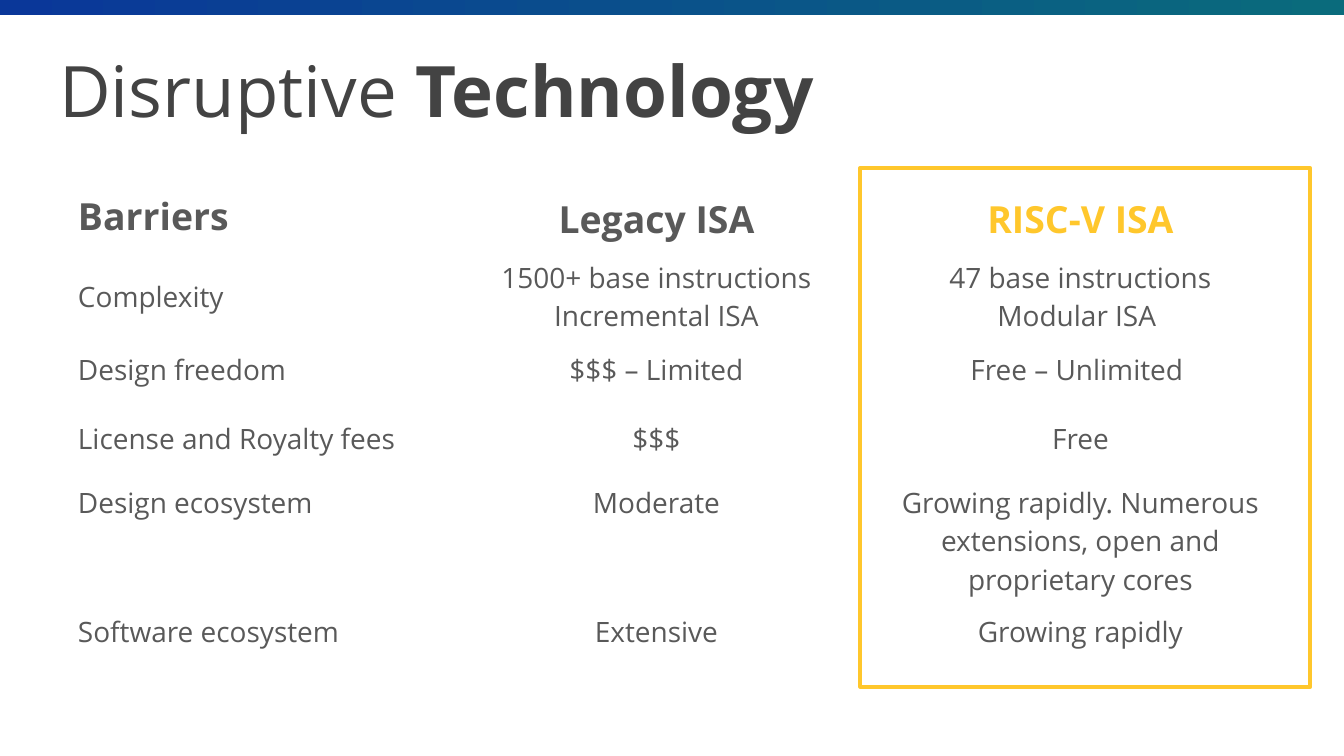
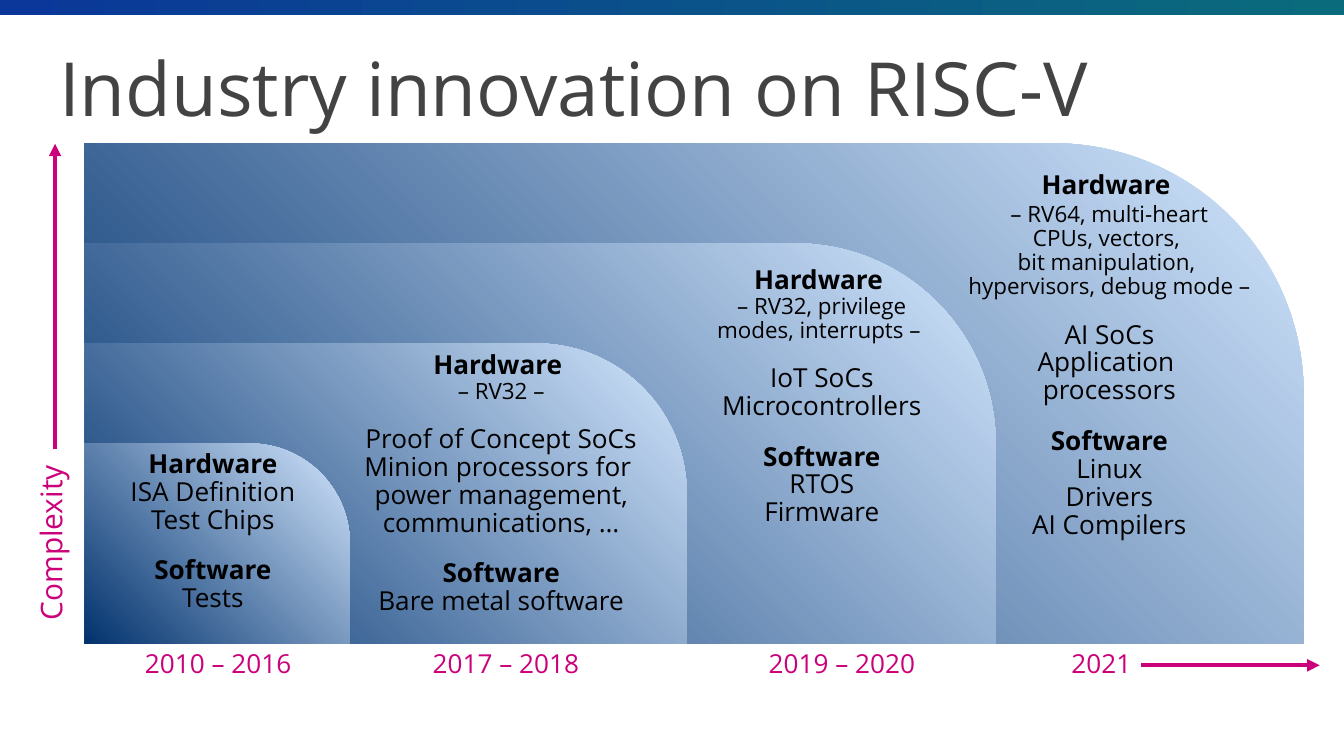
"""Builds two slides on RISC-V: a barriers table and a timeline of growing complexity."""
from dataclasses import dataclass

from lxml import etree
from pptx import Presentation
from pptx.dml.color import RGBColor
from pptx.enum.shapes import MSO_CONNECTOR, MSO_SHAPE
from pptx.enum.text import MSO_ANCHOR, MSO_AUTO_SIZE, PP_ALIGN
from pptx.oxml.ns import qn
from pptx.util import Pt

LEFT, CENTER = PP_ALIGN.LEFT, PP_ALIGN.CENTER
TOP, MIDDLE = MSO_ANCHOR.TOP, MSO_ANCHOR.MIDDLE
RECT, ROUND_ONE = MSO_SHAPE.RECTANGLE, MSO_SHAPE.ROUND_1_RECTANGLE
STRAIGHT = MSO_CONNECTOR.STRAIGHT
FIT_SHAPE, NO_FIT = MSO_AUTO_SIZE.SHAPE_TO_FIT_TEXT, MSO_AUTO_SIZE.NONE


@dataclass(frozen=True)
class Theme:
    font: str = "Open Sans"
    title: str = "434343"
    body: str = "595959"
    text: str = "000000"
    gold: str = "FFC72C"
    magenta: str = "CB007B"
    band: tuple = ("0A3799", "0A6B7C")
    panel: tuple = ("D3E7FE", "02326D")
    header_size: int = 20
    cell_size: int = 15
    item_size: int = 14
    note_size: int = 12
    axis_size: int = 16
    line_spacing: float = 0.89
    gap: int = 12


THEME = Theme()
WIDTH, HEIGHT = 720, 405

BARRIERS_TITLE = [("Disruptive ", False), ("Technology", True)]
BARRIERS = [
    ("Barriers", "Legacy ISA", "RISC-V ISA"),
    ("Complexity", "1500+ base instructions\nIncremental ISA", "47 base instructions\nModular ISA "),
    ("Design freedom", "$$$ – Limited", "Free – Unlimited "),
    ("License and Royalty fees", "$$$", "Free"),
    ("Design ecosystem", "Moderate", "Growing rapidly. Numerous extensions, open and proprietary cores"),
    ("Software ecosystem", "Extensive", "Growing rapidly"),
]
COLUMN_WIDTHS = (208.8, 213.8, 240.5)
ROW_HEIGHTS = (36, 31, 31, 43, 69, 31)
TOP_ROWS = (4, 5)

INNOVATION_TITLE = [("Industry innovation on RISC-V", False)]
STAGES = [
    dict(years="2010 – 2016", years_left=69.8, panel_width=142, note_gap=0,
         box=(51.8, 238.3, 124.6, 104.4),
         lines=[("head", "Hardware"), ("item", "ISA Definition"), ("item", "Test Chips"),
                ("head", "Software"), ("item", "Tests")]),
    dict(years="2017 – 2018", years_left=223.9, panel_width=322.5, note_gap=0,
         box=(169.2, 185, 198.7, 165),
         lines=[("head", "Hardware "), ("note", " – RV32 – "),
                ("item", "Proof of Concept SoCs"),
                ("item", "Minion processors for \npower management, communications, …"),
                ("head", "Software"), ("item", "Bare metal software")]),
    dict(years="2019 – 2020", years_left=403.9, panel_width=488, note_gap=0,
         box=(341.3, 139.7, 198, 162.7),
         lines=[("head", "Hardware "), ("note", " – RV32, privilege \nmodes, interrupts – "),
                ("item", "IoT SoCs"), ("item", "Microcontrollers"),
                ("head", "Software"), ("item", "RTOS"), ("item", "Firmware")]),
    dict(years="2021", years_left=542.9, panel_width=653, note_gap=2,
         box=(493.9, 88.6, 200.9, 234.7),
         lines=[("head", "Hardware "),
                ("note", " – RV64, multi-heart \nCPUs, vectors, \nbit manipulation, \n"
                         "hypervisors, debug mode –"),
                ("item", "AI SoCs"), ("item", "Application \nprocessors"),
                ("head", "Software"), ("item", "Linux"), ("item", "Drivers"),
                ("item", "AI Compilers")]),
]
PANEL_LEFT, PANEL_BOTTOM = 45.4, 344.8
PANEL_BASE, PANEL_STEP = 107.2, 53.6
AXIS_LABEL = "Complexity"
ARROWS = [((29.5, 240.5), (29.5, 77)), ((611.3, 356.4), (707, 356.4))]


def rgb(value):
    return RGBColor.from_string(value)


def points(*values):
    return [Pt(v) for v in values]


def add_text(p, text, size, color, bold=False):
    for i, line in enumerate(text.split("\n")):
        if i:
            p.add_line_break()
        r = p.add_run()
        r.text = line
        r.font.name, r.font.size, r.font.bold = THEME.font, Pt(size), bold
        r.font.color.rgb = rgb(color)


def add_block(s, kind, box):
    sp = s.shapes.add_shape(kind, *points(*box))
    sp.shadow.inherit = False
    sp.line.fill.background()
    return sp


def fill_gradient(sp, colors, angle):
    sp.fill.gradient()
    sp.fill.gradient_angle = angle
    for stop, color in zip(sp.fill.gradient_stops, colors):
        stop.color.rgb = rgb(color)


def add_label(s, box, align=CENTER):
    sp = s.shapes.add_textbox(*points(*box))
    tf = sp.text_frame
    tf.word_wrap, tf.auto_size = True, FIT_SHAPE
    p = tf.paragraphs[0]
    p.alignment, p.line_spacing = align, THEME.line_spacing
    return sp, p


def add_arrow(s, start, end):
    line = s.shapes.add_connector(STRAIGHT, *points(*start, *end))
    line.line.color.rgb, line.line.width = rgb(THEME.magenta), Pt(2.25)
    props = line.element.spPr
    etree.SubElement(props.find(qn("a:ln")), qn("a:tailEnd"), type="triangle")
    etree.SubElement(props, qn("a:effectLst"))


def add_band(prs, s):
    band = add_block(s, RECT, (0, 0, WIDTH, 8))
    fill_gradient(band, THEME.band, 0)
    band.element.nvSpPr.cNvPr.set("id", "100")
    prs.slide_master.shapes.element.append(band.element)


def add_slide(prs, title, top, size):
    s = prs.slides.add_slide(prs.slide_layouts[5])
    sp = s.shapes.title
    sp.left, sp.top, sp.width, sp.height = points(24.5, top, 671, 59)
    tf = sp.text_frame
    tf.margin_left = tf.margin_right = tf.margin_top = tf.margin_bottom = Pt(7.2)
    tf.word_wrap, tf.auto_size, tf.vertical_anchor = True, NO_FIT, MIDDLE
    p = tf.paragraphs[0]
    p.alignment = LEFT
    for text, bold in title:
        add_text(p, text, size, THEME.title, bold)
    return s


def add_barriers(s):
    frame = s.shapes.add_table(len(BARRIERS), len(COLUMN_WIDTHS),
                               *points(36, 99.4, sum(COLUMN_WIDTHS), sum(ROW_HEIGHTS)))
    table = frame.table
    table.first_row = table.horz_banding = False
    for column, width in zip(table.columns, COLUMN_WIDTHS):
        column.width = Pt(width)
    for i, (row, height) in enumerate(zip(BARRIERS, ROW_HEIGHTS)):
        table.rows[i].height = Pt(height)
        for j, text in enumerate(row):
            cell = table.cell(i, j)
            cell.fill.background()
            cell.margin_left = cell.margin_right = Pt(5.8)
            cell.margin_top = cell.margin_bottom = Pt(2.9)
            cell.vertical_anchor = TOP if i in TOP_ROWS or i == j == 0 else MIDDLE
            p = cell.text_frame.paragraphs[0]
            p.alignment = CENTER if j else LEFT
            color = THEME.gold if (i, j) == (0, 2) else THEME.body
            size = THEME.cell_size if i else THEME.header_size
            add_text(p, text, size, color, i == 0)
    highlight = add_block(s, RECT, (460.8, 90, 241.2, 278))
    highlight.fill.background()
    highlight.line.color.rgb, highlight.line.width = rgb(THEME.gold), Pt(2)


def add_panels(s):
    for level, stage in reversed(list(enumerate(STAGES))):
        height = PANEL_BASE + level * PANEL_STEP
        sp = add_block(s, ROUND_ONE,
                       (PANEL_LEFT, PANEL_BOTTOM - height, stage["panel_width"], height))
        sp.adjustments[0] = 0.5
        fill_gradient(sp, THEME.panel, 225)


def add_stage_text(s, stage):
    sp, p = add_label(s, stage["box"])
    previous = None
    for kind, text in stage["lines"]:
        if previous:
            p = sp.text_frame.add_paragraph()
            p.alignment, p.line_spacing = CENTER, THEME.line_spacing
            if kind == "head" or (previous, kind) == ("note", "item"):
                p.space_before = Pt(THEME.gap)
            elif kind == "note":
                p.space_before = Pt(stage["note_gap"])
        size = THEME.note_size if kind == "note" else THEME.item_size
        add_text(p, text, size, THEME.text, kind == "head")
        previous = kind


def add_timeline(s):
    add_panels(s)
    for stage in STAGES:
        add_stage_text(s, stage)
        _, p = add_label(s, (stage["years_left"], 345.6, 94.3, 24.5))
        add_text(p, stage["years"], THEME.item_size, THEME.magenta)
    sp, p = add_label(s, (-33.8, 262.8, 126.7, 26.6), LEFT)
    sp.rotation = 270
    add_text(p, AXIS_LABEL, THEME.axis_size, THEME.magenta)
    for start, end in ARROWS:
        add_arrow(s, start, end)


def main():
    prs = Presentation()
    prs.slide_width, prs.slide_height = points(WIDTH, HEIGHT)
    s = add_slide(prs, BARRIERS_TITLE, 18, 38)
    add_band(prs, s)
    add_barriers(s)
    add_timeline(add_slide(prs, INNOVATION_TITLE, 17, 40))
    prs.save("out.pptx")


if __name__ == "__main__":
    main()
